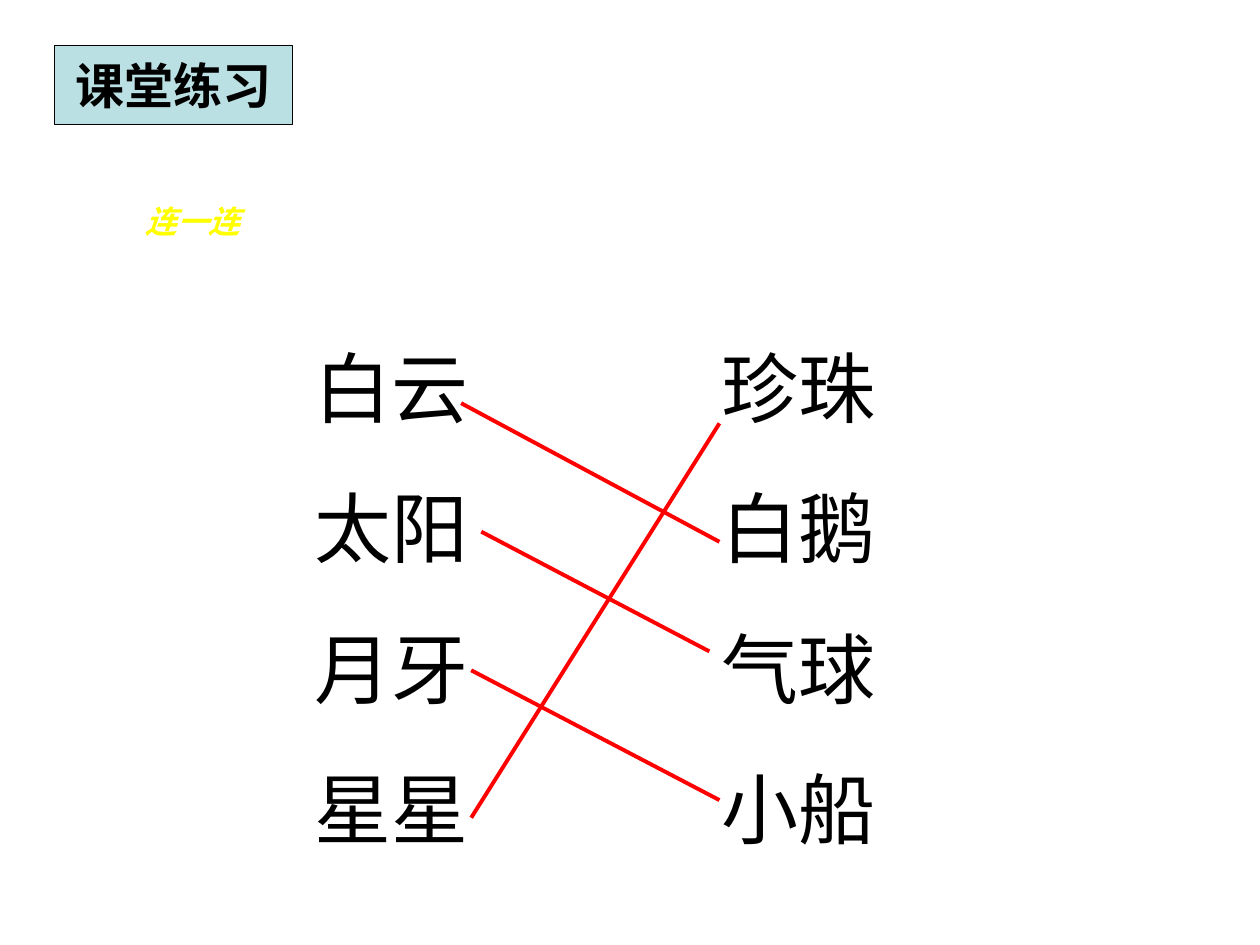
from pptx import Presentation
from pptx import util as u
from pptx.dml.color import RGBColor
from pptx.enum import lang, shapes, text
from pptx.oxml.ns import qn
from lxml import etree

theme = {
    "ink": "000000", "hint": "FFFF00", "link": "FF0000", "badge": "BBE0E3",
    "font": "Arial", "cjk": "Noto Sans CJK SC",
    "title": 28, "word": 44, "note": 18, "gap": 27.5,
}
title = ("课堂练习", (0.43, 0.36, 1.89, 0.63))
note = ("连一连", (1.06, 1.55, 2.08, 0.58))
words = [
    (2.4, ["白云", "太阳", "月牙", "星星"]),
    (5.63, ["珍珠", "白鹅", "气球", "小船"]),
]
top, wide, high = 2.65, 1.75, 4.18
links = [
    (3.66, 3.2, 5.71, 4.3),
    (3.82, 4.22, 5.63, 5.17),
    (3.74, 5.32, 5.71, 6.35),
    (5.71, 3.36, 3.74, 6.49),
]


def tint(name):
    return RGBColor.from_string(theme[name])


def place(box):
    return [u.Inches(n) for n in box]


def write(shape, lines, size, ink="ink", face="font", wrap=False):
    frame = shape.text_frame
    frame.word_wrap = wrap
    frame.text = "\n".join(lines)
    for i, para in enumerate(frame.paragraphs):
        font = para.font
        font.name = theme[face]
        font.size = u.Pt(theme[size])
        font.color.rgb = tint(ink)
        for run in para.runs:
            run.font.language_id = lang.MSO_LANGUAGE_ID.SIMPLIFIED_CHINESE
        if i:
            para.space_before = u.Pt(theme["gap"])
    return frame


deck = Presentation()
deck.slide_width, deck.slide_height = u.Inches(10), u.Inches(7.5)
slide = deck.slides.add_slide(deck.slide_layouts[6])
parts = slide.shapes

hint = write(parts.add_textbox(*place(note[1])), [note[0]], "note", "hint", "cjk")
hint.paragraphs[0].font.bold = True
hint.paragraphs[0].font.italic = True

for left, lines in words:
    box = parts.add_textbox(*place((left, top, wide, high)))
    frame = write(box, lines, "word", wrap=True)
    frame.auto_size = text.MSO_AUTO_SIZE.SHAPE_TO_FIT_TEXT

for ends in links:
    line = parts.add_connector(shapes.MSO_CONNECTOR.STRAIGHT, *place(ends))
    line.line.color.rgb = tint("link")
    line.line.width = u.Pt(2.25)
    etree.SubElement(line._element.spPr, qn("a:effectLst"))

badge = parts.add_shape(shapes.MSO_SHAPE.RECTANGLE, *place(title[1]))
badge.shadow.inherit = False
badge.fill.solid()
badge.fill.fore_color.rgb = tint("badge")
badge.line.color.rgb = tint("ink")
badge.line.width = u.Pt(0.75)
frame = write(badge, [title[0]], "title")
frame.vertical_anchor = text.MSO_ANCHOR.MIDDLE
frame.paragraphs[0].alignment = text.PP_ALIGN.CENTER
frame.paragraphs[0].font.bold = True

deck.save("out.pptx")
